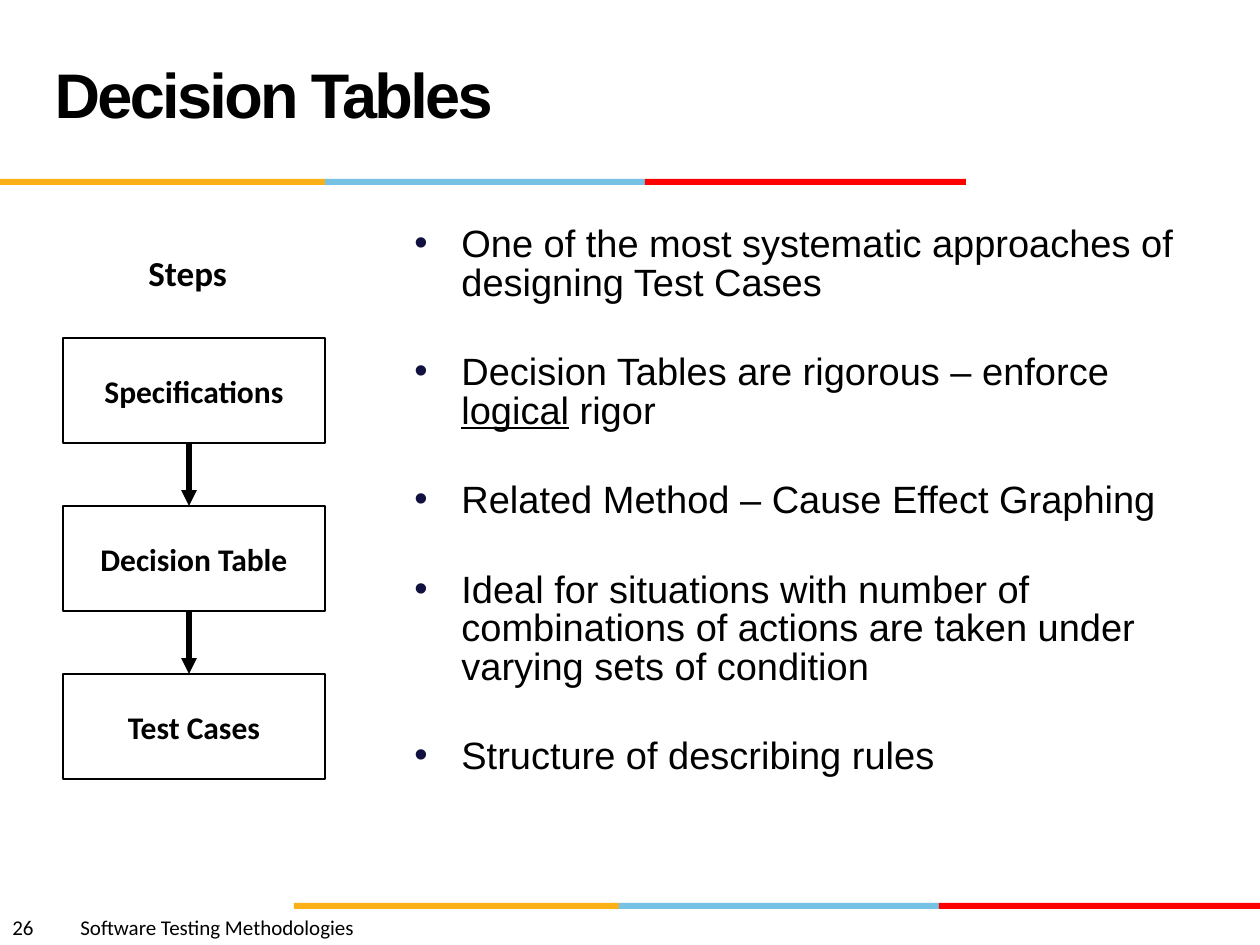
import lxml.etree
import pptx
import pptx.dml.color
import pptx.enum.shapes
import pptx.enum.text
import pptx.oxml.ns
import pptx.util

BLACK = pptx.dml.color.RGBColor(0x00, 0x00, 0x00)
WHITE = pptx.dml.color.RGBColor(0xFF, 0xFF, 0xFF)
ORANGE = pptx.dml.color.RGBColor(0xFC, 0xB0, 0x17)
BLUE = pptx.dml.color.RGBColor(0x76, 0xC2, 0xE5)
RED = pptx.dml.color.RGBColor(0xFF, 0x00, 0x00)
NAVY = pptx.dml.color.RGBColor(0x10, 0x11, 0x41)

BANDS = [(325, ORANGE), (320, BLUE), (321, RED)]
STEPS = ["Specifications", "Decision Table", "Test Cases"]
POINTS = [
    ["One of the most systematic approaches of designing Test Cases"],
    ["Decision Tables are rigorous – enforce ", "logical", " rigor"],
    ["Related Method – Cause Effect Graphing"],
    ["Ideal for situations with number of combinations of actions "
     "are taken under varying sets of condition"],
    ["Structure of describing rules"],
]
UNDERLINED = "logical"


def px(length):
    return pptx.util.Emu(round(length * 914400 / 126))


def add_xml(parent, tag, **attributes):
    return lxml.etree.SubElement(parent, pptx.oxml.ns.qn(tag), attributes)


def format_run(run, name, size, bold=False):
    run.font.name = name
    run.font.size = pptx.util.Pt(size)
    run.font.bold = bold
    run.font.color.rgb = BLACK


def add_rectangle(slide, left, top, width, height, fill):
    shape = slide.shapes.add_shape(
        pptx.enum.shapes.MSO_SHAPE.RECTANGLE, px(left), px(top), px(width), px(height))
    shape.shadow.inherit = False
    shape.fill.solid()
    shape.fill.fore_color.rgb = fill
    return shape


def add_text_box(slide, left, top, width, height, wrap):
    shape = slide.shapes.add_textbox(px(left), px(top), px(width), px(height))
    shape.text_frame.word_wrap = wrap
    return shape.text_frame


def add_color_bar(slide, left, top, height):
    for width, color in BANDS:
        add_rectangle(slide, left, top, width, height, color).line.fill.background()
        left += width


def add_title(slide, left, top, width, height):
    title = slide.shapes.title
    title.left, title.top, title.width, title.height = map(px, (left, top, width, height))
    frame = title.text_frame
    frame.text = "Decision Tables"
    frame.vertical_anchor = pptx.enum.text.MSO_ANCHOR.MIDDLE
    paragraph = frame.paragraphs[0]
    paragraph.alignment = pptx.enum.text.PP_ALIGN.LEFT
    paragraph.line_spacing = pptx.util.Pt(36)
    run = paragraph.runs[0]
    format_run(run, "Arial", 36, True)
    run.font._element.set("spc", "-150")


def add_footer(slide, left, top, width, height):
    paragraph = add_text_box(slide, left, top, width, height, True).paragraphs[0]
    paragraph.text = "26\tSoftware Testing Methodologies"
    tabs = add_xml(paragraph._p.get_or_add_pPr(), "a:tabLst")
    add_xml(tabs, "a:tab", pos=str(px(68)), algn="l")
    for run in paragraph.runs:
        format_run(run, "Calibri", 12)


def add_points(slide, left, top, width, height):
    frame = add_text_box(slide, left, top, width, height, True)
    for index, pieces in enumerate(POINTS):
        paragraph = frame.paragraphs[0] if index == 0 else frame.add_paragraph()
        properties = paragraph._p.get_or_add_pPr()
        properties.set("marL", str(px(47)))
        properties.set("indent", str(px(-47)))
        bullet_color = add_xml(properties, "a:buClr")
        add_xml(bullet_color, "a:srgbClr", val=str(NAVY))
        add_xml(properties, "a:buFont", typeface="Arial")
        add_xml(properties, "a:buChar", char="•")
        paragraph.line_spacing = 0.84
        if index:
            paragraph.space_before = pptx.util.Pt(29.4)
        for piece in pieces:
            run = paragraph.add_run()
            run.text = piece
            format_run(run, "Arial", 21.7)
            run.font.underline = piece == UNDERLINED


def add_arrow(slide, x, top, bottom):
    connector = slide.shapes.add_connector(
        pptx.enum.shapes.MSO_CONNECTOR.STRAIGHT, px(x), px(top), px(x), px(bottom))
    connector.line.color.rgb = BLACK
    connector.line.width = pptx.util.Pt(3)
    add_xml(connector.line._get_or_add_ln(), "a:tailEnd", type="triangle")
    add_xml(connector._element.spPr, "a:effectLst")


def add_steps(slide, left, top, width, box_height, gap):
    heading = add_text_box(slide, left + 73, top - 93, 105, 55, False).paragraphs[0]
    heading.text = "Steps"
    format_run(heading.runs[0], "Calibri", 20, True)
    for index, step in enumerate(STEPS):
        box_top = top + index * (box_height + gap)
        box = add_rectangle(slide, left, box_top, width, box_height, WHITE)
        box.line.color.rgb = BLACK
        box.line.width = pptx.util.Pt(0.75)
        frame = box.text_frame
        frame.text = step
        frame.word_wrap = False
        frame.vertical_anchor = pptx.enum.text.MSO_ANCHOR.MIDDLE
        paragraph = frame.paragraphs[0]
        paragraph.alignment = pptx.enum.text.PP_ALIGN.CENTER
        format_run(paragraph.runs[0], "Calibri", 18, True)
        if index:
            add_arrow(slide, left + 126, box_top - gap, box_top)


def main():
    presentation = pptx.Presentation()
    presentation.slide_width = px(1260)
    presentation.slide_height = px(945)
    slide = presentation.slides.add_slide(presentation.slide_layouts[5])
    add_color_bar(slide, 0, 179, 6)
    add_color_bar(slide, 294, 903, 6)
    add_footer(slide, 0, 908, 630, 38)
    add_points(slide, 402, 221, 837, 624)
    add_title(slide, 42, 21, 872, 158)
    add_steps(slide, 63, 338, 262, 105, 63)
    presentation.save("out.pptx")


if __name__ == "__main__":
    main()
